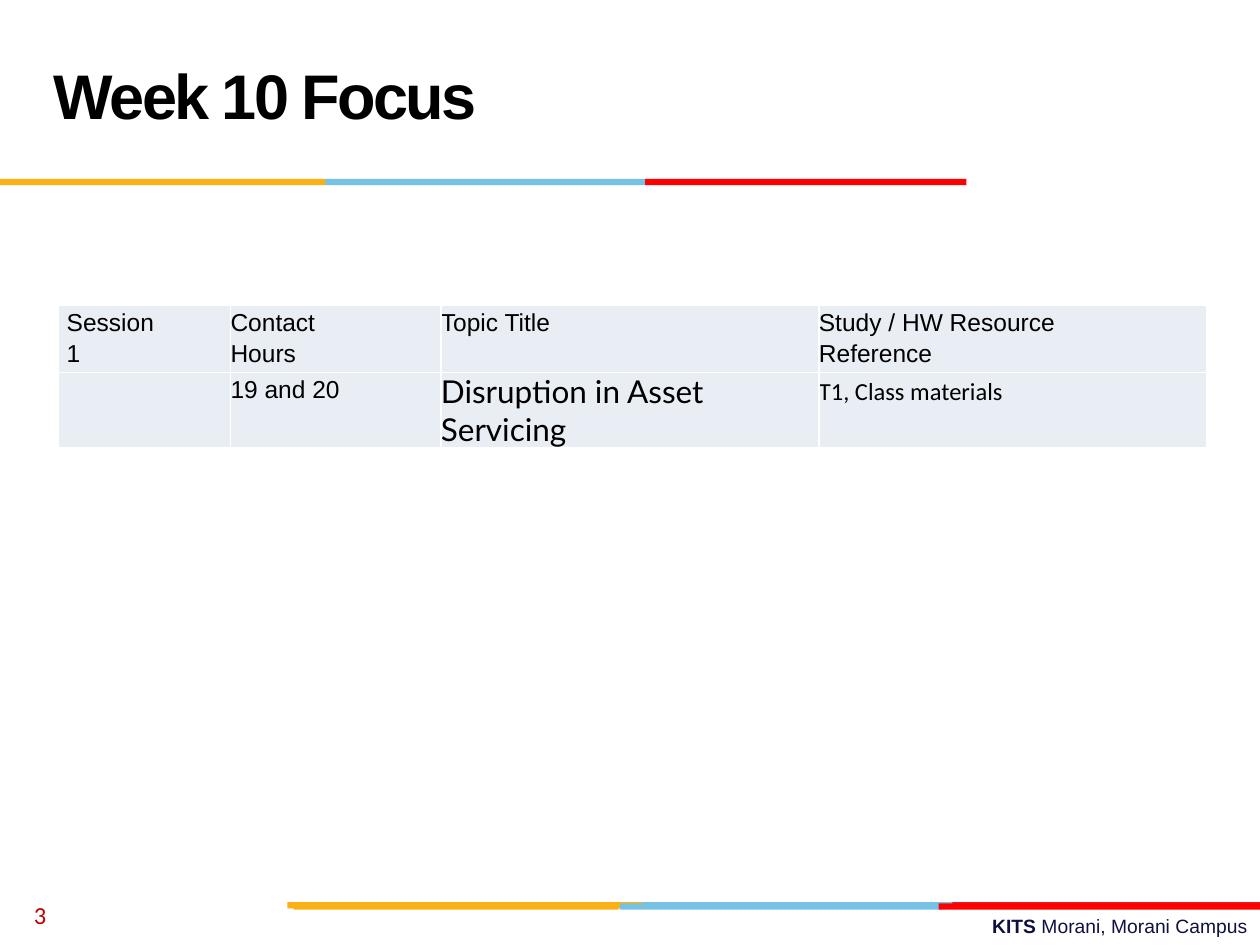
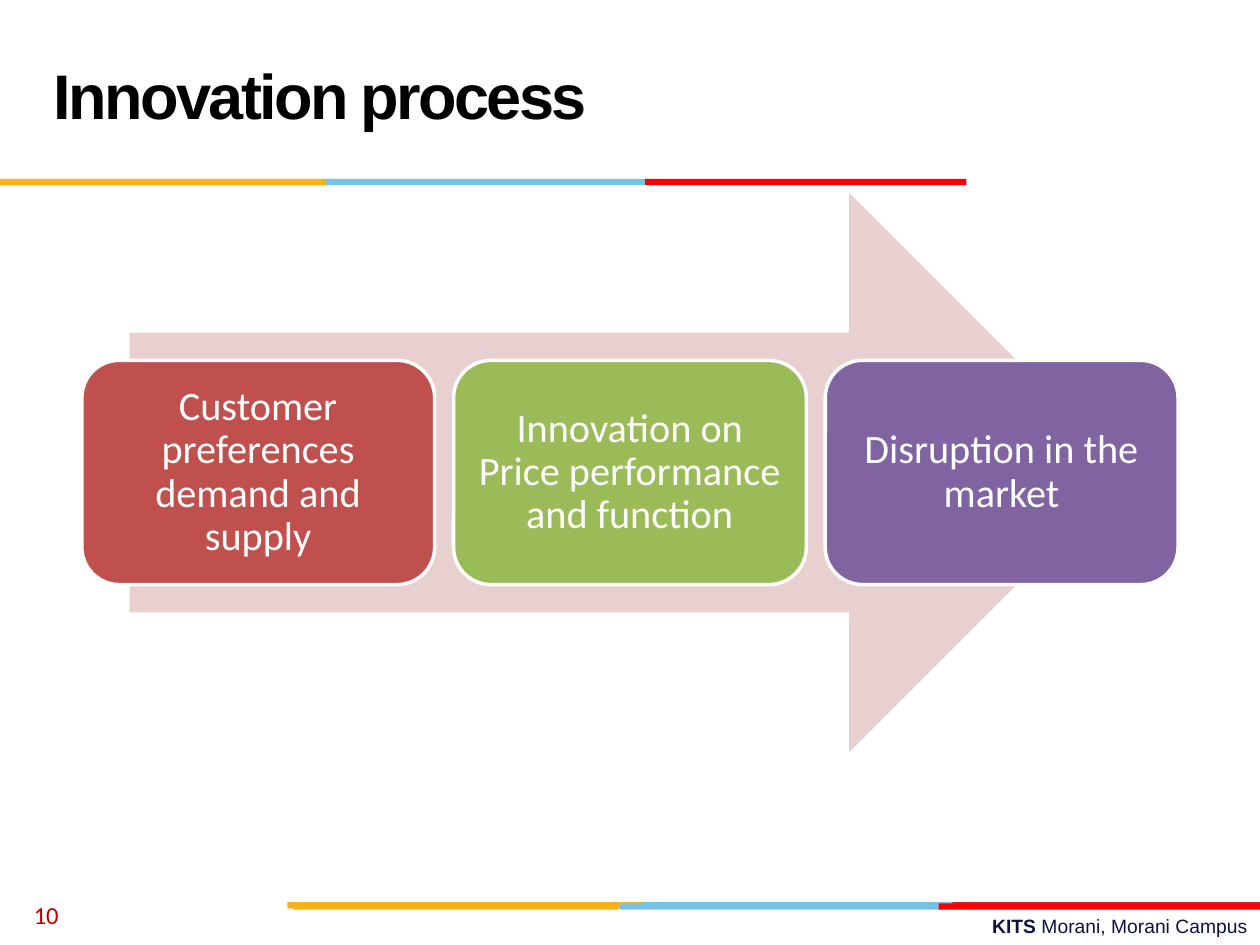
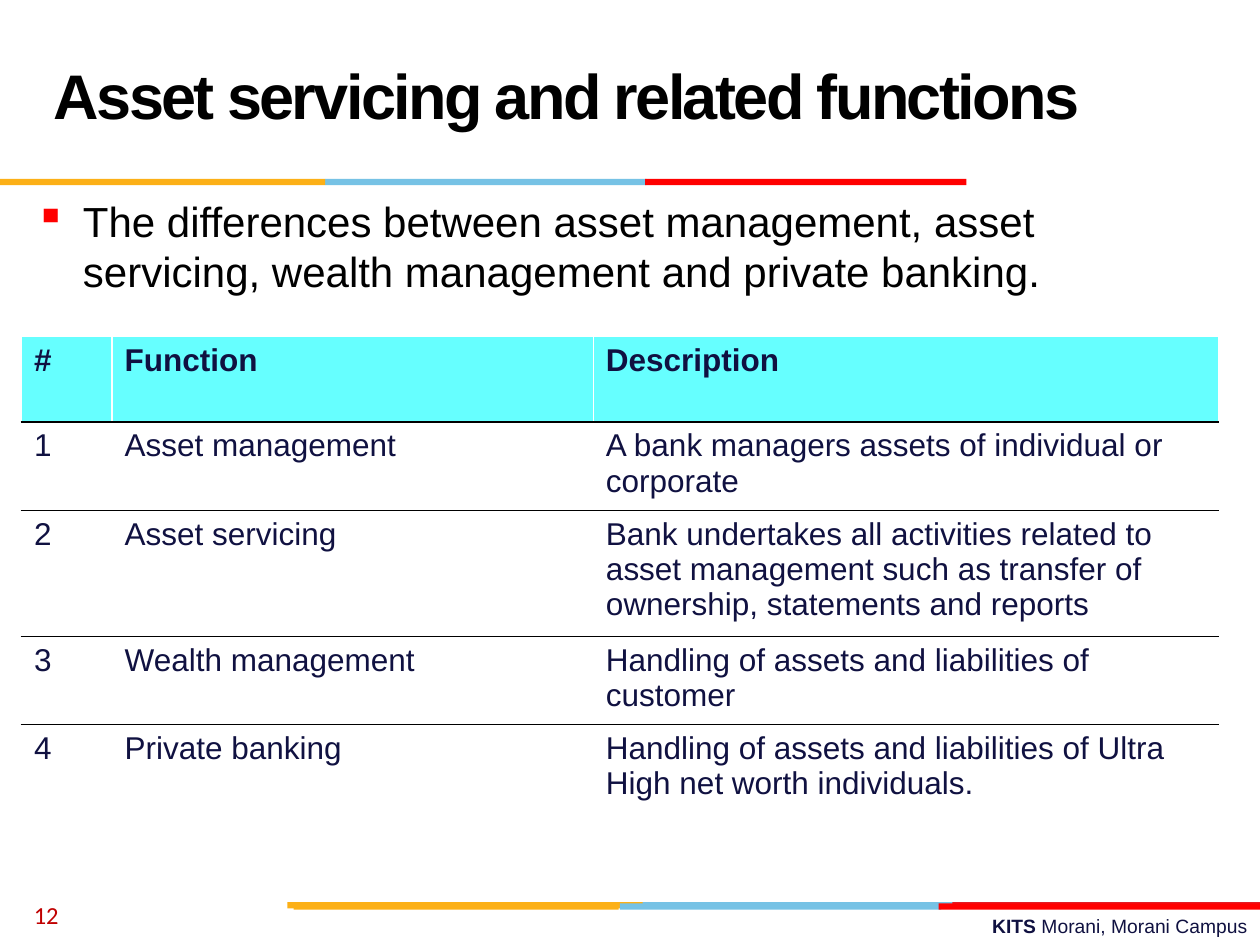
from dataclasses import dataclass

import lxml.etree
import pptx
import pptx.dml.color
import pptx.enum.shapes
import pptx.enum.text
import pptx.oxml.ns
import pptx.util

Inches = pptx.util.Inches
Pt = pptx.util.Pt
Shapes = pptx.enum.shapes.MSO_SHAPE
Align = pptx.enum.text.PP_ALIGN
Anchor = pptx.enum.text.MSO_ANCHOR
qn = pptx.oxml.ns.qn


@dataclass(frozen=True)
class TextStyle:
    font: str
    size: float
    color: str
    bold: bool = False
    line_spacing: float = 1.0
    space_after: float = 0


class Theme:
    gold = "FCB017"
    blue = "76C2E5"
    red = "FF0000"
    dark_red = "E31C24"
    black = "000000"
    white = "FFFFFF"
    session_fill = "E9EDF4"
    header_fill = "66FFFF"
    arrow_fill = "E8D0D0"
    step_fills = ("C0504D", "9BBB59", "8064A2")
    title = TextStyle("Arial", 36, "000000", True, Pt(36))
    number = TextStyle("Calibri", 14, "C00000")
    footer = TextStyle("Arial", 11, "101141")
    bullet = TextStyle("Arial", 24, "000000")
    step = TextStyle("Calibri", 23, "FFFFFF", line_spacing=0.9)
    session = TextStyle("Arial", 14, "000000", line_spacing=1.15)
    topic = TextStyle("Lato", 18, "000000")
    resource = TextStyle("Calibri", 14, "000000", line_spacing=1.15, space_after=10)
    header = TextStyle("Arial", 18, "101141", True)
    body = TextStyle("Arial", 18, "101141")


HEADER_BARS = ((Theme.blue, 2.58, 2.55), (Theme.gold, 0, 2.58), (Theme.red, 5.12, 2.55))
FOOTER_UNDER_BARS = ((Theme.blue, 5.06, 2.55), (Theme.dark_red, 7.56, 2.44), (Theme.gold, 2.28, 2.82))
FOOTER_BARS = ((Theme.blue, 4.92, 2.55), (Theme.gold, 2.33, 2.58), (Theme.red, 7.45, 2.55))


def rgb(color):
    return pptx.dml.color.RGBColor.from_string(color)


def style_paragraph(paragraph, style, alignment=Align.LEFT):
    font = paragraph.font
    font.name = style.font
    font.size = Pt(style.size)
    font.bold = style.bold
    font.color.rgb = rgb(style.color)
    paragraph.alignment = alignment
    paragraph.line_spacing = style.line_spacing
    paragraph.space_after = Pt(style.space_after)


def add_text(slide, box, text, style, alignment=Align.LEFT, anchor=Anchor.TOP):
    shape = slide.shapes.add_textbox(*map(Inches, box))
    frame = shape.text_frame
    frame.word_wrap = True
    frame.vertical_anchor = anchor
    paragraph = frame.paragraphs[0]
    paragraph.text = text
    style_paragraph(paragraph, style, alignment)
    return paragraph


def add_filled_shape(slide, kind, box, fill, outline=None):
    shape = slide.shapes.add_shape(kind, *map(Inches, box))
    shape.shadow.inherit = False
    shape.fill.solid()
    shape.fill.fore_color.rgb = rgb(fill)
    if outline:
        shape.line.color.rgb = rgb(outline)
        shape.line.width = Pt(2)
    else:
        shape.line.fill.background()
    return shape


def add_bars(slide, top, bars):
    for color, left, width in bars:
        add_filled_shape(slide, Shapes.RECTANGLE, (left, top, width, 0.05), color)


def add_footer(slide):
    paragraph = add_text(slide, (3.58, 7.21, 6.42, 0.29), "", Theme.footer, Align.RIGHT)
    for text, bold in (("KITS ", True), ("Morani, Morani Campus", False)):
        run = paragraph.add_run()
        run.text = text
        run.font.bold = bold


def add_base_slide(presentation, title, number, title_width=9.33):
    slide = presentation.slides.add_slide(presentation.slide_layouts[6])
    add_footer(slide)
    add_bars(slide, 7.16, FOOTER_UNDER_BARS)
    add_bars(slide, 7.17, FOOTER_BARS)
    add_bars(slide, 1.42, HEADER_BARS)
    paragraph = add_text(slide, (0.33, 0.17, title_width, 1.25), title, Theme.title, anchor=Anchor.MIDDLE)
    paragraph.runs[0]._r.get_or_add_rPr().set("spc", "-150")
    add_text(slide, (0.17, 7.06, 2.33, 0.4), str(number), Theme.number, anchor=Anchor.MIDDLE)
    return slide


def add_bullet(slide, box, text):
    paragraph = add_text(slide, box, text, Theme.bullet)
    properties = paragraph._p.get_or_add_pPr()
    indent = Inches(0.38)
    properties.set("marL", str(indent))
    properties.set("indent", str(-indent))
    bullet_color = lxml.etree.Element(qn("a:buClr"))
    lxml.etree.SubElement(bullet_color, qn("a:srgbClr"), val=Theme.red)
    bullet_mark = lxml.etree.Element(qn("a:buChar"), char="▪")
    default_font = properties.find(qn("a:defRPr"))
    default_font.addprevious(bullet_color)
    default_font.addprevious(bullet_mark)


def set_borders(cell, top, bottom):
    properties = cell._tc.get_or_add_tcPr()
    sides = (("L", Theme.white), ("R", Theme.white), ("T", top), ("B", bottom))
    for side, color in sides:
        line = lxml.etree.SubElement(properties, qn("a:ln" + side), w=str(Pt(1)))
        fill = lxml.etree.SubElement(line, qn("a:solidFill"))
        lxml.etree.SubElement(fill, qn("a:srgbClr"), val=color)


def fill_cell(cell, text, style, fill, top=Theme.white, bottom=Theme.white):
    set_borders(cell, top, bottom)
    cell.fill.solid()
    cell.fill.fore_color.rgb = rgb(fill)
    paragraph = cell.text_frame.paragraphs[0]
    paragraph.text = text
    style_paragraph(paragraph, style)


def add_plain_table(slide, left, top, widths, heights):
    size = sum(widths), sum(heights)
    frame = slide.shapes.add_table(len(heights), len(widths), *map(Inches, (left, top, *size)))
    table = frame.table
    table.first_row = False
    table.horz_banding = False
    for column, width in zip(table.columns, widths):
        column.width = Inches(width)
    for row, height in zip(table.rows, heights):
        row.height = Inches(height)
    return table


def add_session_table(slide):
    rows = (
        (("Session\v1", Theme.session), ("Contact\vHours", Theme.session),
         ("Topic Title", Theme.session), ("Study / HW Resource\vReference", Theme.session)),
        (("", Theme.session), ("19 and 20", Theme.session),
         ("Disruption in Asset Servicing", Theme.topic), ("T1, Class materials", Theme.resource)),
    )
    table = add_plain_table(slide, 0.46, 2.42, (1.37, 1.67, 3, 3.08), (0.53, 0.6))
    for row_index, row in enumerate(rows):
        for column_index, (text, style) in enumerate(row):
            cell = table.cell(row_index, column_index)
            side_margin = Inches(0 if column_index else 0.07)
            cell.margin_left = cell.margin_right = side_margin
            cell.margin_top = cell.margin_bottom = 0
            fill_cell(cell, text, style, Theme.session_fill)


def add_function_table(slide):
    rows = (
        ("#", "Function", "Description"),
        ("1", "Asset management", "A bank managers assets of individual or corporate"),
        ("2", "Asset servicing", "Bank undertakes all activities related to asset management "
         "such as transfer of ownership, statements and reports"),
        ("3", "Wealth management", "Handling of assets and liabilities of customer"),
        ("4", "Private banking", "Handling of assets and liabilities of Ultra High net worth individuals."),
    )
    table = add_plain_table(slide, 0.17, 2.67, (0.72, 3.82, 4.96), (0.68, 0.7, 1, 0.7, 0.7))
    last = len(rows) - 1
    for row_index, row in enumerate(rows):
        is_header = row_index == 0
        style = Theme.header if is_header else Theme.body
        fill = Theme.header_fill if is_header else Theme.white
        top = Theme.white if is_header else Theme.black
        bottom = Theme.white if row_index == last else Theme.black
        for column_index, text in enumerate(row):
            fill_cell(table.cell(row_index, column_index), text, style, fill, top, bottom)


def add_process(slide, steps):
    add_filled_shape(slide, Shapes.RIGHT_ARROW, (1.03, 1.53, 7.93, 4.44), Theme.arrow_fill)
    for index, (text, fill) in enumerate(zip(steps, Theme.step_fills)):
        box = (0.65 + index * 2.95, 2.86, 2.8, 1.78)
        shape = add_filled_shape(slide, Shapes.ROUNDED_RECTANGLE, box, fill, Theme.white)
        frame = shape.text_frame
        frame.word_wrap = True
        frame.vertical_anchor = Anchor.MIDDLE
        frame.margin_left = frame.margin_right = Inches(0.1)
        frame.margin_top = frame.margin_bottom = Inches(0.1)
        paragraph = frame.paragraphs[0]
        paragraph.text = text
        style_paragraph(paragraph, Theme.step, Align.CENTER)


def main():
    presentation = pptx.Presentation()
    presentation.slide_width = Inches(10)
    presentation.slide_height = Inches(7.5)

    focus_slide = add_base_slide(presentation, "Week 10 Focus", 3, 6.92)
    add_session_table(focus_slide)

    process_slide = add_base_slide(presentation, "Innovation process", 10)
    add_process(process_slide, (
        "Customer preferences demand and supply",
        "Innovation on Price performance and function",
        "Disruption in the market",
    ))

    functions_slide = add_base_slide(presentation, "Asset servicing and related functions", 12)
    add_bullet(functions_slide, (0.18, 1.5, 9.49, 0.91),
               "The differences between asset management, asset servicing, "
               "wealth management and private banking.")
    add_function_table(functions_slide)

    presentation.save("out.pptx")


if __name__ == "__main__":
    main()
